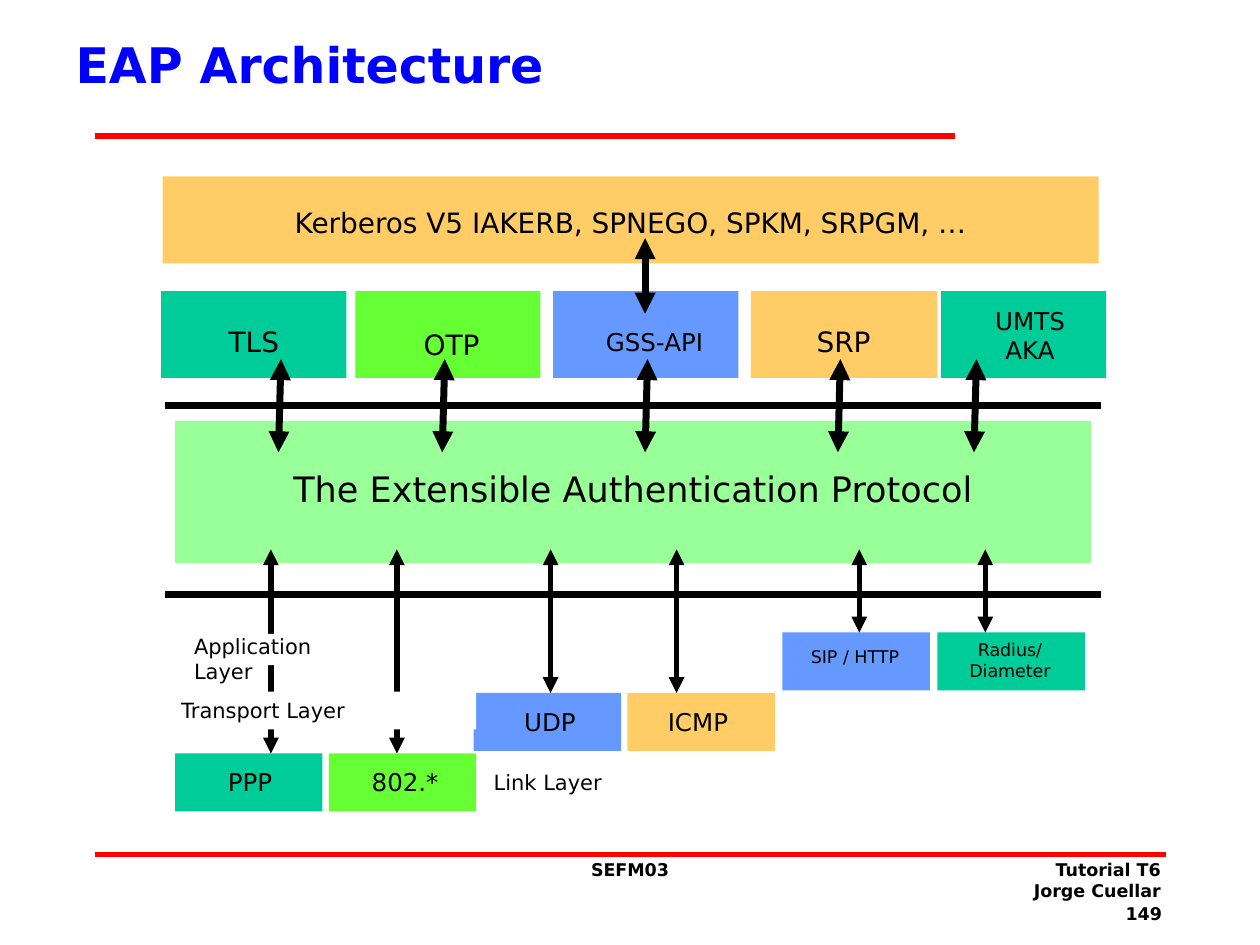
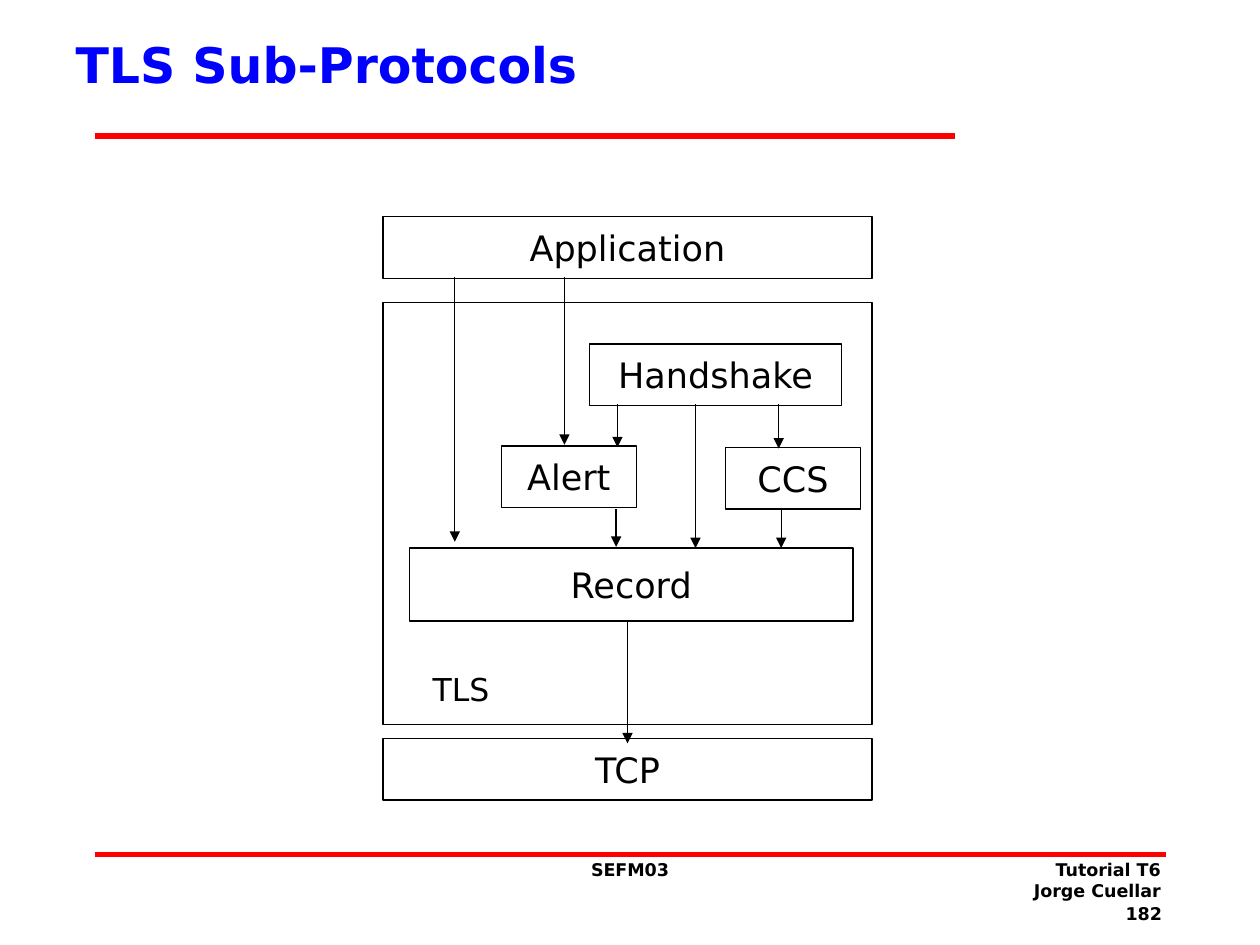
"""Build two protocol diagram slides: EAP architecture and TLS sub-protocols."""
from dataclasses import dataclass

from lxml.etree import SubElement
from pptx import Presentation
from pptx.dml.color import RGBColor
from pptx.enum.shapes import MSO_CONNECTOR, MSO_SHAPE
from pptx.enum.text import MSO_ANCHOR, MSO_AUTO_SIZE, PP_ALIGN
from pptx.oxml.ns import qn
from pptx.util import Inches, Pt


@dataclass(frozen=True)
class Theme:
    font: str = "DejaVu Sans"
    title: str = "0000FF"
    rule: str = "FF0000"
    ink: str = "000000"
    paper: str = "FFFFFF"
    teal: str = "00CC99"
    lime: str = "66FF33"
    blue: str = "6699FF"
    amber: str = "FFCC66"
    mint: str = "99FF99"
    title_size: int = 28
    node_size: int = 20
    group_size: int = 18
    method_size: int = 16
    card_size: int = 14
    layer_size: int = 12
    small_size: int = 10


theme = Theme()


def add_box(s, at, text="", size=0, fill=None, line=None, align=PP_ALIGN.CENTER,
            anchor=MSO_ANCHOR.TOP, bold=False, wrap=True, left=0.1, top=0.05):
    """Add a filled rectangle, or a text box when there is no fill."""
    place = [Inches(v) for v in at]
    if fill:
        sp = s.shapes.add_shape(MSO_SHAPE.RECTANGLE, *place)
        sp.shadow.inherit = False
        sp.fill.solid()
        sp.fill.fore_color.rgb = RGBColor.from_string(fill)
        if line:
            sp.line.color.rgb = RGBColor.from_string(line)
            sp.line.width = Pt(0.75)
        else:
            sp.line.fill.background()
    else:
        sp = s.shapes.add_textbox(*place)
    if text:
        tf = sp.text_frame
        tf.word_wrap = wrap
        tf.vertical_anchor = anchor
        tf.margin_left, tf.margin_top = Inches(left), Inches(top)
        tf.text = text
        for p in tf.paragraphs:
            p.alignment = align
            p.font.name = theme.font
            p.font.size = Pt(size)
            p.font.bold = bold
            p.font.color.rgb = RGBColor.from_string(theme.ink)


def add_line(s, x1, y1, x2, y2, width, color=theme.ink, ends=()):
    """Add a straight line with triangles at the named ends."""
    cn = s.shapes.add_connector(MSO_CONNECTOR.STRAIGHT, *[Inches(v) for v in (x1, y1, x2, y2)])
    cn.line.color.rgb = RGBColor.from_string(color)
    cn.line.width = Pt(width)
    for end in ends:
        SubElement(cn.line._get_or_add_ln(), qn(f"a:{end}"), type="triangle")
    SubElement(cn._element.spPr, qn("a:effectLst"))


prs = Presentation()
prs.slide_width, prs.slide_height = Inches(10), Inches(7.5)

slides = []
for title, number in (("EAP Architecture", "149"), ("TLS Sub-Protocols", "182")):
    s = prs.slides.add_slide(prs.slide_layouts[5])
    add_line(s, 0.75, 1.08, 7.58, 1.08, 3, theme.rule)
    add_line(s, 0.75, 6.78, 9.25, 6.78, 3, theme.rule)
    for at, text, align in (
        ((8.52, 7.12, 0.8, 0.25), number, PP_ALIGN.RIGHT),
        ((3.96, 6.77, 2.08, 0.5), "SEFM03", PP_ALIGN.CENTER),
        ((7.23, 6.77, 2.08, 0.5), "Tutorial T6\nJorge Cuellar", PP_ALIGN.RIGHT),
    ):
        add_box(s, at, text, theme.small_size, align=align, bold=True)
    sp = s.shapes.title
    sp.left, sp.top, sp.width, sp.height = [Inches(v) for v in (0.5, 0, 6.69, 1.01)]
    tf = sp.text_frame
    tf.text = title
    tf.word_wrap = True
    tf.auto_size = MSO_AUTO_SIZE.NONE
    tf.vertical_anchor = MSO_ANCHOR.MIDDLE
    p = tf.paragraphs[0]
    p.alignment = PP_ALIGN.LEFT
    p.font.name = theme.font
    p.font.size = Pt(theme.title_size)
    p.font.bold = True
    p.font.color.rgb = RGBColor.from_string(theme.title)
    slides.append(s)

eap, tls = slides
both = ("headEnd", "tailEnd")

add_box(eap, (1.39, 3.34, 7.27, 1.13), "The Extensible Authentication Protocol",
        theme.node_size, theme.mint, wrap=False, top=0.37)
for y in (3.22, 4.72):
    add_line(eap, 1.31, y, 8.74, y, 4)

add_box(eap, (1.29, 1.4, 7.43, 0.69), fill=theme.amber)
add_box(eap, (1.29, 1.58, 7.43, 0.37), "Kerberos V5 IAKERB, SPNEGO, SPKM, SRPGM, …",
        theme.method_size)

methods = (
    (1.28, 1.47, theme.teal, "TLS", theme.method_size, (1.64, 2.53, 0.75, 0.37)),
    (2.82, 1.47, theme.lime, "OTP", theme.method_size, (2.82, 2.55, 1.53, 0.37)),
    (4.39, 1.47, theme.blue, "GSS-API", theme.card_size, (4.66, 2.55, 1.07, 0.33)),
    (5.96, 1.48, theme.amber, "SRP", theme.method_size, (6.22, 2.53, 0.95, 0.37)),
    (7.47, 1.31, theme.teal, "UMTS\vAKA", theme.card_size, (7.59, 2.38, 1.17, 0.57)),
)
for x, width, fill, text, size, label_at in methods:
    add_box(eap, (x, 2.31, width, 0.69), fill=fill)
    add_box(eap, label_at, text, size)

carriers = (
    (1.39, 5.98, theme.teal, "PPP", theme.card_size, (1.61, 6.04, 0.75, 0.33)),
    (2.61, 5.98, theme.lime, "802.*", theme.card_size, (2.84, 6.04, 0.75, 0.33)),
    (3.76, 5.5, theme.blue, "UDP", theme.card_size, (3.99, 5.56, 0.75, 0.33)),
    (4.98, 5.5, theme.amber, "ICMP", theme.card_size, (5.06, 5.56, 0.96, 0.33)),
    (6.21, 5.02, theme.blue, "SIP / HTTP", theme.small_size, (6.21, 5.08, 1.15, 0.27)),
    (7.44, 5.02, theme.teal, "Radius/ Diameter", theme.small_size, (7.44, 5.02, 1.15, 0.44)),
)
for x, y, fill, text, size, label_at in carriers:
    add_box(eap, (x, y, 1.17, 0.46), fill=fill)
    add_box(eap, label_at, text, size)

for x in (2.23, 3.53, 5.14, 6.67, 7.75):
    add_line(eap, x, 2.85, x - 0.02, 3.59, 4, ends=both)
add_line(eap, 5.12, 1.89, 5.12, 2.49, 4, ends=both)
for x, carrier in zip((2.15, 3.15, 4.37, 5.37, 6.82, 7.82), carriers):
    add_line(eap, x, 4.36, x, carrier[1], 3, ends=both)

for at, text, fill, left, top in (
    ((3.82, 6.06, 1.53, 0.3), "Link Layer", None, 0.1, 0.05),
    ((1.34, 5.49, 2.44, 0.3), "Transport Layer", theme.paper, 0.1, 0.05),
    ((1.54, 5.03, 1.45, 0.25), "Application Layer", theme.paper, 0, 0),
):
    add_box(eap, at, text, theme.layer_size, fill, align=PP_ALIGN.LEFT, left=left, top=top)

add_box(tls, (3.04, 2.4, 3.88, 3.35), fill=theme.paper, line=theme.ink)
add_box(tls, (3.11, 5.27, 1.1, 0.39), "TLS", theme.group_size, theme.paper,
        anchor=MSO_ANCHOR.MIDDLE, wrap=False)
for text, *at in (
    ("Application", 3.04, 1.72, 3.88, 0.49),
    ("TCP", 3.04, 5.86, 3.88, 0.49),
    ("Handshake", 4.68, 2.73, 2, 0.49),
    ("Alert", 3.98, 3.54, 1.07, 0.49),
    ("CCS", 5.76, 3.55, 1.07, 0.49),
    ("Record", 3.25, 4.35, 3.52, 0.58),
):
    add_box(tls, at, text, theme.node_size, theme.paper, theme.ink,
            anchor=MSO_ANCHOR.MIDDLE, wrap=False)

for x, start, end in (
    (3.61, 2.2, 4.3), (4.48, 2.2, 3.53), (4.9, 3.21, 3.55), (6.18, 3.21, 3.56),
    (4.89, 4.04, 4.34), (6.2, 4.04, 4.35), (5.52, 3.21, 4.35), (4.98, 4.94, 5.9),
):
    add_line(tls, x, start, x, end, 0.75, ends=("tailEnd",))

prs.save("out.pptx")
